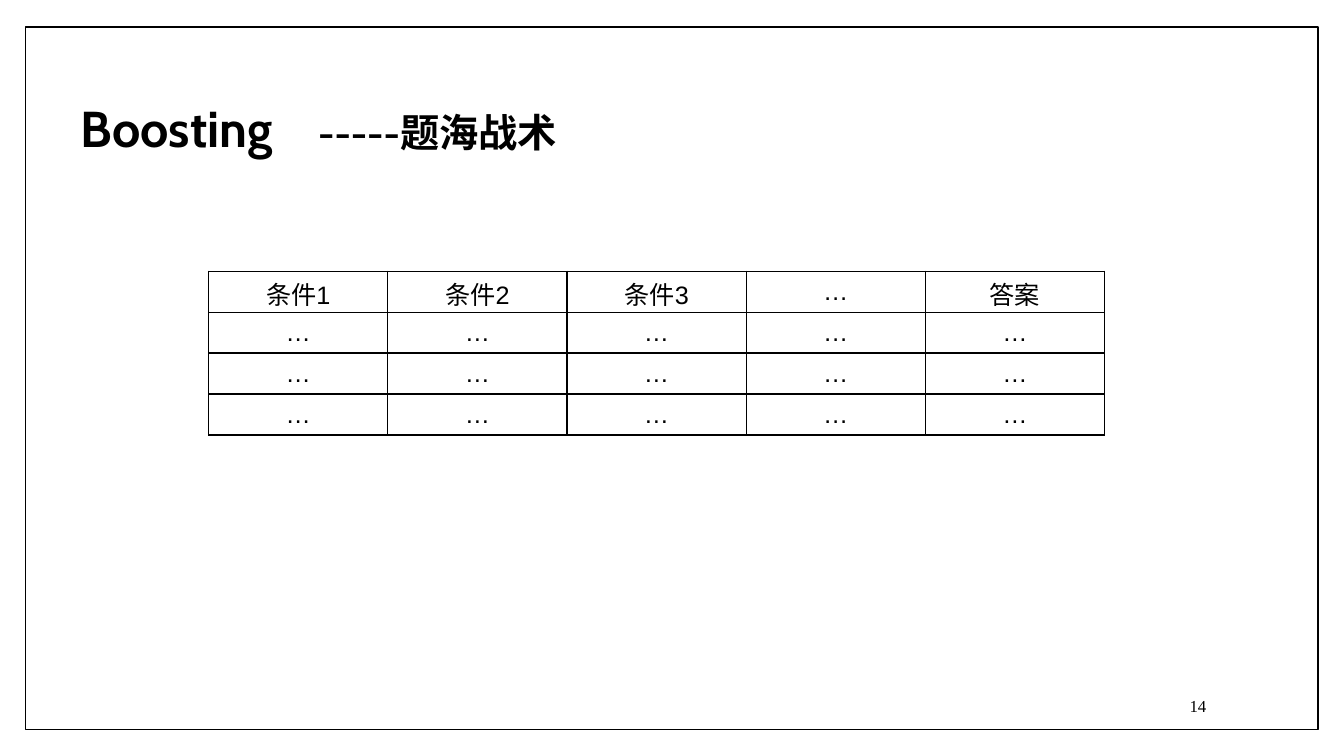
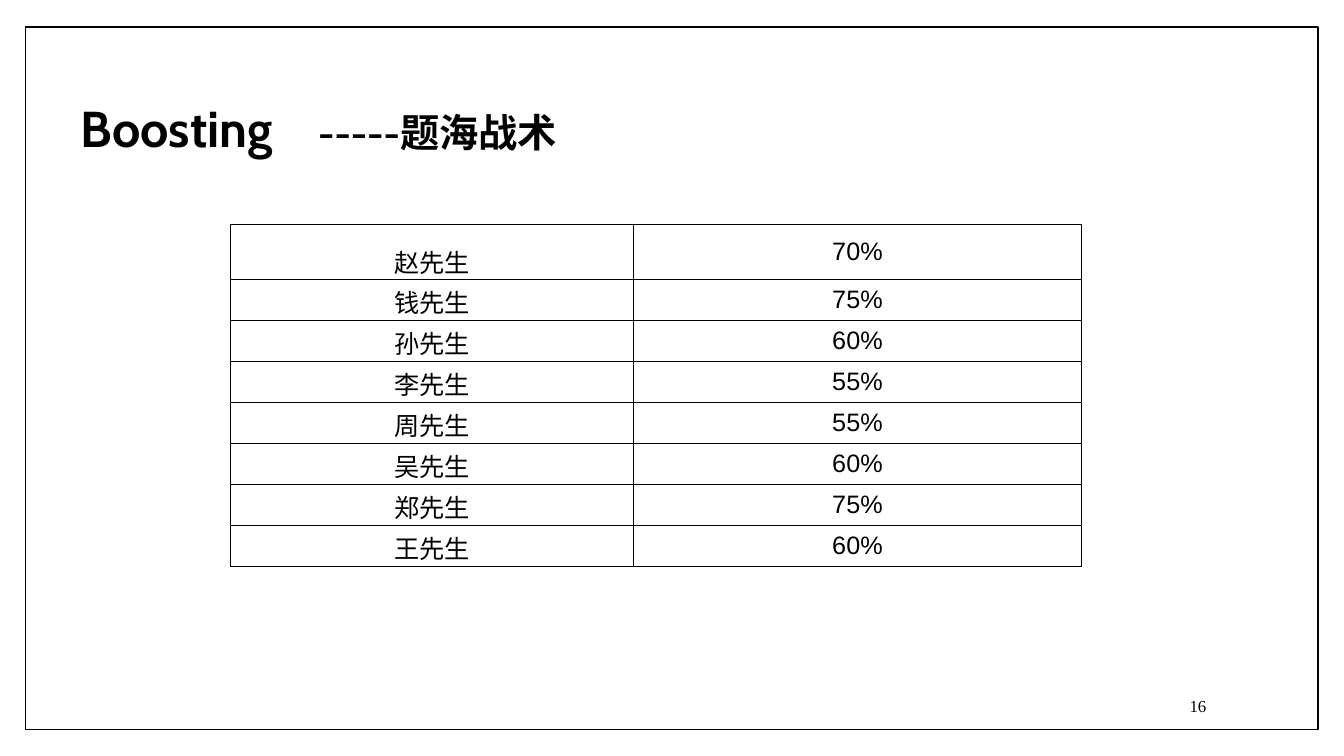
from dataclasses import dataclass

from lxml import etree
from pptx import Presentation
from pptx.dml.color import RGBColor
from pptx.enum.shapes import MSO_SHAPE
from pptx.enum.text import MSO_ANCHOR, MSO_AUTO_SIZE, PP_ALIGN
from pptx.oxml.ns import qn
from pptx.slide import Slide
from pptx.table import Table, _Cell
from pptx.text.text import TextFrame, _Paragraph
from pptx.util import Inches, Pt

BLACK = RGBColor(0x00, 0x00, 0x00)
WHITE = RGBColor(0xFF, 0xFF, 0xFF)
RECTANGLE = MSO_SHAPE.RECTANGLE
TOP, MIDDLE = MSO_ANCHOR.TOP, MSO_ANCHOR.MIDDLE
LEFT, CENTER, RIGHT = PP_ALIGN.LEFT, PP_ALIGN.CENTER, PP_ALIGN.RIGHT
FIXED_SIZE = MSO_AUTO_SIZE.NONE

SLIDE_WIDTH, SLIDE_HEIGHT = Inches(13.33), Inches(7.5)
TITLE_ONLY = 5
TITLE_TAB = 17.67
ROW = 5.42
CELL_TOP_MARGIN = Inches(0.04)
BORDER = Pt(1)
BORDER_SIDES = ("a:lnL", "a:lnR", "a:lnT", "a:lnB")
ELLIPSIS = "…"


def across(percent: float) -> int:
    return round(SLIDE_WIDTH * percent / 100)


def down(percent: float) -> int:
    return round(SLIDE_HEIGHT * percent / 100)


@dataclass(frozen=True)
class Box:
    left: float
    top: float
    width: float
    height: float

    def lengths(self) -> tuple[int, int, int, int]:
        return across(self.left), down(self.top), across(self.width), down(self.height)


@dataclass(frozen=True)
class TextStyle:
    font: str
    size: int
    bold: bool = False


@dataclass(frozen=True)
class TableSlide:
    number: str
    left: float
    top: float
    columns: list[float]
    rows: list[float]
    cells: list[list[str]]
    first_cell_spacing: float = 1.0


FRAME_BOX = Box(1.88, 3.56, 96.18, 92.95)
TITLE_BOX = Box(5.25, 12.13, 41.8, 17.47)
NUMBER_BOX = Box(76.5, 90.7, 14.0, 5.33)

TITLE_STYLE = TextStyle("Cabin", 36, True)
SUBTITLE_STYLE = TextStyle("Cabin", 28, True)
NUMBER_STYLE = TextStyle("Times New Roman", 12)
CELL_STYLE = TextStyle("Arial", 18)

SLIDES = [
    TableSlide(
        "14", 15.53, 35.87, [13.33] * 5, [ROW] * 4,
        [["条件1", "条件2", "条件3", ELLIPSIS, "答案"]] + [[ELLIPSIS] * 5] * 3,
    ),
    TableSlide(
        "16", 17.15, 29.73, [30, 33.3], [2.8] + [ROW] * 7,
        [
            ["赵先生", "70%"],
            ["钱先生", "75%"],
            ["孙先生", "60%"],
            ["李先生", "55%"],
            ["周先生", "55%"],
            ["吴先生", "60%"],
            ["郑先生", "75%"],
            ["王先生", "60%"],
        ],
        first_cell_spacing=1.5,
    ),
]


def add_run(paragraph: _Paragraph, text: str, style: TextStyle) -> None:
    run = paragraph.add_run()
    run.text = text
    run.font.name = style.font
    run.font.size = Pt(style.size)
    run.font.bold = style.bold
    run.font.color.rgb = BLACK


def prepare_text(text_frame: TextFrame, anchor: MSO_ANCHOR, alignment: PP_ALIGN) -> _Paragraph:
    text_frame.word_wrap = True
    text_frame.auto_size = FIXED_SIZE
    text_frame.vertical_anchor = anchor
    paragraph = text_frame.paragraphs[0]
    paragraph.alignment = alignment
    return paragraph


def add_frame(slide: Slide) -> None:
    frame = slide.shapes.add_shape(RECTANGLE, *FRAME_BOX.lengths())
    frame.shadow.inherit = False
    frame.fill.solid()
    frame.fill.fore_color.rgb = WHITE
    frame.line.color.rgb = BLACK
    frame.line.width = BORDER
    slide.shapes.title.element.addprevious(frame.element)


def format_title(slide: Slide) -> None:
    title = slide.shapes.title
    title.left, title.top, title.width, title.height = TITLE_BOX.lengths()
    paragraph = prepare_text(title.text_frame, TOP, LEFT)
    tab_list = etree.SubElement(paragraph._p.get_or_add_pPr(), qn("a:tabLst"))
    etree.SubElement(tab_list, qn("a:tab"), pos=str(across(TITLE_TAB)), algn="l")
    add_run(paragraph, "Boosting\t", TITLE_STYLE)
    add_run(paragraph, "-----题海战术", SUBTITLE_STYLE)


def add_number(slide: Slide, number: str) -> None:
    text_box = slide.shapes.add_textbox(*NUMBER_BOX.lengths())
    add_run(prepare_text(text_box.text_frame, MIDDLE, RIGHT), number, NUMBER_STYLE)


def add_borders(cell: _Cell) -> None:
    properties = cell._tc.get_or_add_tcPr()
    for index, side in enumerate(BORDER_SIDES):
        line = etree.Element(qn(side), w=str(BORDER))
        fill = etree.SubElement(line, qn("a:solidFill"))
        etree.SubElement(fill, qn("a:srgbClr"), val=str(BLACK))
        properties.insert(index, line)


def fill_cell(cell: _Cell, text: str) -> None:
    cell.fill.background()
    cell.vertical_anchor = MIDDLE
    if text != ELLIPSIS and not text.endswith("%"):
        cell.margin_top = CELL_TOP_MARGIN
        cell.margin_bottom = 0
    add_borders(cell)
    paragraph = cell.text_frame.paragraphs[0]
    paragraph.alignment = CENTER
    add_run(paragraph, text, CELL_STYLE)


def add_data_table(slide: Slide, content: TableSlide) -> Table:
    box = Box(content.left, content.top, sum(content.columns), sum(content.rows))
    table = slide.shapes.add_table(
        len(content.rows), len(content.columns), *box.lengths()
    ).table
    table.first_row = False
    table.horz_banding = False
    for column, width in zip(table.columns, content.columns):
        column.width = across(width)
    for row, height in zip(table.rows, content.rows):
        row.height = down(height)
    for row, texts in zip(table.rows, content.cells):
        for cell, text in zip(row.cells, texts):
            fill_cell(cell, text)
    return table


def add_table_slide(presentation: Presentation, content: TableSlide) -> None:
    slide = presentation.slides.add_slide(presentation.slide_layouts[TITLE_ONLY])
    add_frame(slide)
    format_title(slide)
    add_number(slide, content.number)
    table = add_data_table(slide, content)
    if content.first_cell_spacing != 1.0:
        first_cell = table.cell(0, 0)
        first_cell.margin_top = 0
        first_cell.text_frame.paragraphs[0].line_spacing = content.first_cell_spacing


def main() -> None:
    presentation = Presentation()
    presentation.slide_width = SLIDE_WIDTH
    presentation.slide_height = SLIDE_HEIGHT
    for content in SLIDES:
        add_table_slide(presentation, content)
    presentation.save("out.pptx")


if __name__ == "__main__":
    main()
